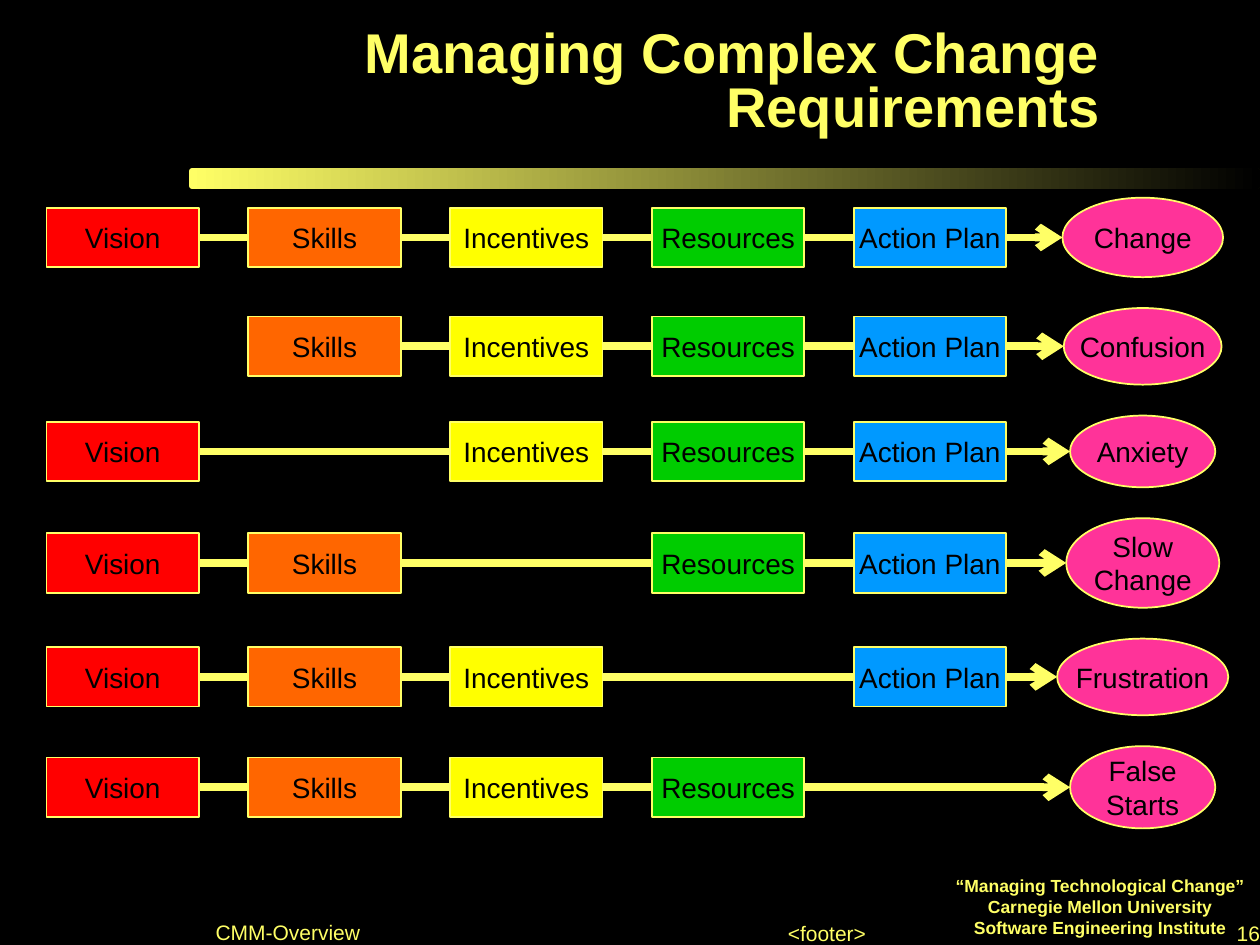
from lxml import etree
from pptx import Presentation
from pptx import util as u
from pptx.dml.color import RGBColor
from pptx.enum import shapes, text
from pptx.oxml.ns import qn

Pt = u.Pt
ALIGN, ANCHOR = text.PP_ALIGN, text.MSO_ANCHOR
KIND = shapes.MSO_SHAPE
YELLOW, BLACK = "FFFF66", "000000"


def color(value):
    return RGBColor.from_string(value)


def write(shape, lines, frame_format, paragraph_format, font_format, ink):
    frame = shape.text_frame
    frame.text = "\n".join(lines)
    for name, value in frame_format.items():
        setattr(frame, name, value)
    for paragraph in frame.paragraphs:
        for name, value in paragraph_format.items():
            setattr(paragraph, name, value)
        for name, value in {"name": "Arial", **font_format}.items():
            setattr(paragraph.font, name, value)
        paragraph.font.color.rgb = color(ink)


presentation = Presentation()
presentation.slide_width, presentation.slide_height = Pt(720), Pt(540)
slide = presentation.slides.add_slide(presentation.slide_layouts[6])
slide.background.fill.solid()
slide.background.fill.fore_color.rgb = color(BLACK)

# Fading bar under the title
bar = slide.shapes.add_shape(KIND.ROUNDED_RECTANGLE, Pt(108), Pt(96), Pt(612), Pt(12))
bar.shadow.inherit = False
bar.line.fill.background()
bar.fill.gradient()
bar.fill.gradient_angle = 0
for stop, value in zip(bar.fill.gradient_stops, (YELLOW, BLACK)):
    stop.color.rgb = color(value)

# Title, source note and footers
no_margins = dict(margin_left=0, margin_top=0, margin_right=0, margin_bottom=0)
bottom = {**no_margins, "vertical_anchor": ANCHOR.BOTTOM}
tight = {"line_spacing": 0.8}
texts = [
    ((116.6, 0, 603.4, 96), ["Managing Complex Change Requirements"],
     {**no_margins, "word_wrap": True, "margin_right": Pt(91.4), "vertical_anchor": ANCHOR.MIDDLE},
     {**tight, "alignment": ALIGN.RIGHT}, {"size": Pt(32), "bold": True}),
    ((537, 496.6, 183, 43),
     ["“Managing Technological Change”", "Carnegie Mellon University", "Software Engineering Institute"],
     {"word_wrap": True}, {"alignment": ALIGN.CENTER}, {"size": Pt(10), "bold": True}),
    ((447.6, 526.3, 50, 14.4), ["<footer>"],
     {**bottom, "word_wrap": True}, {"alignment": ALIGN.CENTER}, {"size": Pt(12)}),
    ((89.3, 517, 150.5, 23), ["CMM-Overview"],
     {**bottom, "word_wrap": True}, {**tight, "alignment": ALIGN.CENTER}, {"size": Pt(12)}),
    ((705.6, 529, 14.4, 11.5), ["16"],
     {**bottom, "word_wrap": True}, {**tight, "alignment": ALIGN.RIGHT}, {"size": Pt(12)}),
]
for place, lines, frame_format, paragraph_format, font_format in texts:
    box = slide.shapes.add_textbox(*map(Pt, place))
    write(box, lines, frame_format, paragraph_format, font_format, YELLOW)

# Each row leaves out one ingredient and shows the result
ingredients = [("Vision", "FF0000"), ("Skills", "FF6600"), ("Incentives", "FFFF00"),
               ("Resources", "00CC00"), ("Action Plan", "0099FF")]
# middle of the row, missing ingredient, result, ellipse width and height
rows = [
    (135.7, None, ["Change"], 91.8, 45.4),
    (197.9, "Vision", ["Confusion"], 90.2, 43.8),
    (258, "Skills", ["Anxiety"], 83, 41),
    (321.7, "Incentives", ["Slow", "Change"], 87.4, 51.2),
    (386.8, "Resources", ["Frustration"], 97.8, 43.8),
    (449.9, "Action Plan", ["False", "Starts"], 83, 47),
]
first_left, pitch, box_width, box_height = 26.6, 115.3, 87.1, 34
result_middle = 653

for middle, missing, result, width, height in rows:
    left = result_middle - width / 2
    nodes = [(KIND.OVAL, left, width, height, result, "FF3399")]
    nodes += [(KIND.RECTANGLE, first_left + column * pitch, box_width, box_height, [name], fill)
              for column, (name, fill) in enumerate(ingredients) if name != missing]
    for index, (kind, x, w, h, lines, fill) in enumerate(nodes):
        shape = slide.shapes.add_shape(kind, Pt(x), Pt(middle - h / 2), Pt(w), Pt(h))
        shape.shadow.inherit = False
        shape.fill.solid()
        shape.fill.fore_color.rgb = color(fill)
        shape.line.color.rgb = color(YELLOW)
        shape.line.width = Pt(1)
        write(shape, lines, {"word_wrap": False, "vertical_anchor": ANCHOR.MIDDLE},
              {"alignment": ALIGN.CENTER}, {"size": Pt(16)}, BLACK)

        # The arrow starts at the first box and runs behind the later ones
        if index == 1:
            arrow = slide.shapes.add_connector(shapes.MSO_CONNECTOR.STRAIGHT,
                                               Pt(x + w), Pt(middle), Pt(left), Pt(middle))
            arrow.begin_connect(shape, 3)
            arrow.line.color.rgb = color(YELLOW)
            arrow.line.width = Pt(4.5)
            etree.SubElement(arrow.line._get_or_add_ln(), qn("a:tailEnd"), type="arrow")
            etree.SubElement(arrow._element.spPr, qn("a:effectLst"))

presentation.save("out.pptx")
